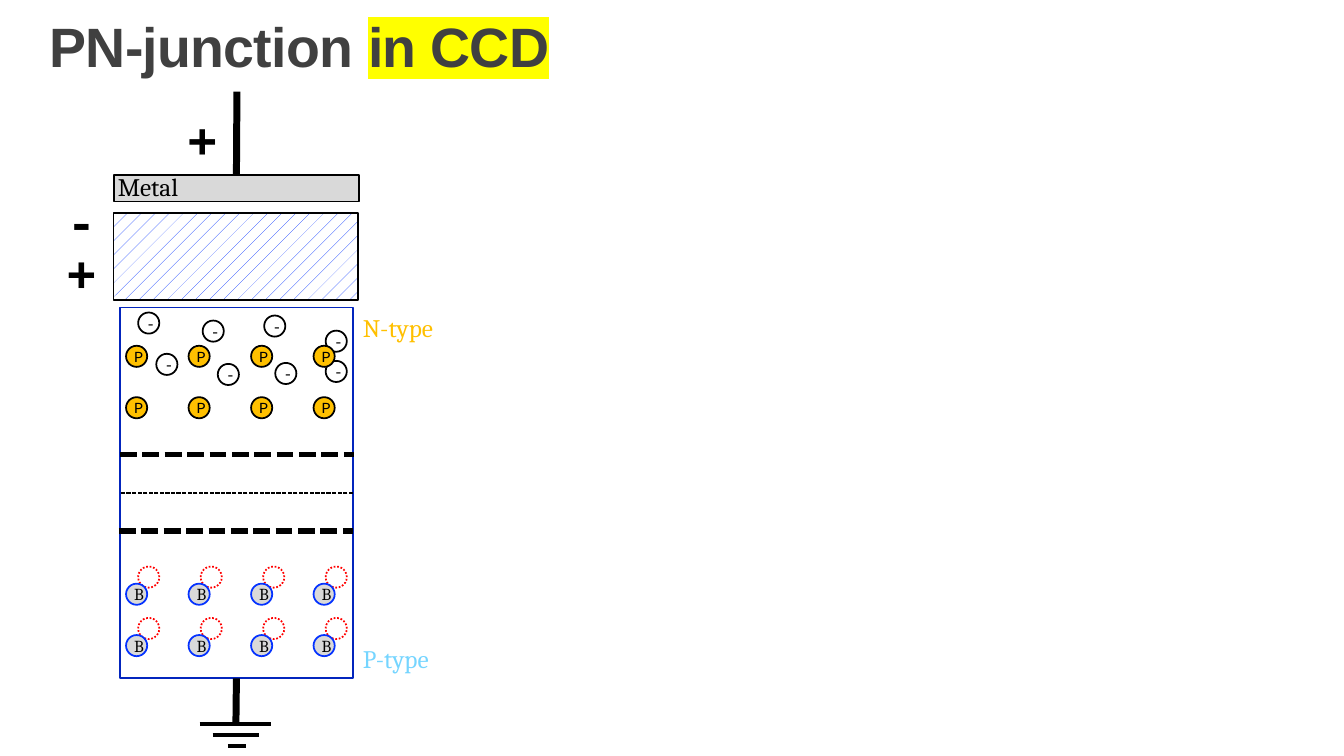
"""Build a slide showing the layers and charges of a PN-junction in a CCD."""
from dataclasses import dataclass
from itertools import product
from typing import Optional

from lxml import etree
from pptx import Presentation
from pptx import util as u
from pptx.dml.color import RGBColor
from pptx.enum import dml, shapes, text
from pptx.oxml.ns import qn

BLACK, WHITE, GREY = "000000", "FFFFFF", "D9D9D9"
AMBER, BLUE = "FFC000", "0432FF"
SERIF, MONO = "Cambria", "Courier New"
DIAMETER = 0.21
COLUMN_PITCH, ROW_PITCH = 0.62, 0.51
OVAL, RECTANGLE = shapes.MSO_SHAPE.OVAL, shapes.MSO_SHAPE.RECTANGLE
DOTTED, DASHED = dml.MSO_LINE.ROUND_DOT, dml.MSO_LINE.SQUARE_DOT


@dataclass
class Particle:
    outline: str
    fill: Optional[str] = None
    symbol: str = ""
    font: str = MONO
    size: float = 11
    dash: Optional[dml.MSO_LINE] = None


@dataclass
class Label:
    wording: str
    left: float
    top: float
    width: float
    height: float
    size: float = 18
    font: str = SERIF
    color: str = BLACK
    bold: bool = False
    align: text.PP_ALIGN = text.PP_ALIGN.LEFT
    rotation: float = 0


@dataclass
class Wire:
    start: tuple[float, float]
    end: tuple[float, float]
    weight: float
    dash: Optional[dml.MSO_LINE] = None


HOLE = Particle("FF0000", dash=DOTTED)
BORON = Particle(BLUE, GREY, "B", SERIF, 12)
ELECTRON = Particle(BLACK, symbol="-")
PHOSPHORUS = Particle(BLACK, AMBER, "P")
ELECTRON_SPOTS = [(1.37, 3.1), (1.55, 3.51), (2.01, 3.18), (2.16, 3.61),
                  (2.62, 3.13), (2.73, 3.6), (3.23, 3.28), (3.23, 3.58)]

SIGN = dict(width=0.76, height=0.71, size=36, font=MONO, bold=True)
LABELS = [
    Label("P-type", 3.5, 6.33, 1.03, 0.4, color="75D5FF"),
    Label("N-type", 3.5, 3.05, 1.26, 0.4, color=AMBER),
    Label("Metal", 1.07, 1.65, 0.83, 0.4),
    Label("+", 1.6, 0.93, rotation=270, **SIGN),
    Label("-", 0.43, 1.84, align=text.PP_ALIGN.CENTER, **SIGN),
    Label("+", 0.43, 2.35, align=text.PP_ALIGN.CENTER, **SIGN),
]
DEPLETION_EDGES = [
    Wire((1.19, 4.51), (3.51, 4.51), 4, DASHED),
    Wire((1.18, 5.27), (3.5, 5.27), 4, DASHED),
]
GROUND_BARS = [
    Wire((1.98, 7.18), (2.69, 7.18), 3),
    Wire((2.11, 7.29), (2.57, 7.29), 3),
    Wire((2.26, 7.4), (2.44, 7.4), 3),
]


def rgb(color: str) -> RGBColor:
    return RGBColor.from_string(color)


def write(paragraph, wording: str, *, size: float, font: str, color: str = BLACK,
          bold: bool = False, spacing: Optional[int] = None,
          highlight: Optional[str] = None) -> None:
    run = paragraph.add_run()
    run.text = wording
    run.font.size, run.font.name, run.font.bold = u.Pt(size), font, bold
    run.font.color.rgb = rgb(color)
    properties = run.font._element
    if spacing is not None:
        properties.set("spc", str(spacing))
    if highlight:
        marker = etree.Element(qn("a:highlight"))
        etree.SubElement(marker, qn("a:srgbClr"), val=highlight)
        properties.find(qn("a:solidFill")).addnext(marker)


def set_line(line, color: str, weight: float, dash: Optional[dml.MSO_LINE]) -> None:
    line.color.rgb = rgb(color)
    line.width = u.Pt(weight)
    if dash is not None:
        line.dash_style = dash


def add_outline(slide, kind, left: float, top: float, width: float, height: float,
                color: str, fill: Optional[str] = None,
                dash: Optional[dml.MSO_LINE] = None):
    shape = slide.shapes.add_shape(
        kind, u.Inches(left), u.Inches(top), u.Inches(width), u.Inches(height))
    shape.shadow.inherit = False
    if fill:
        shape.fill.solid()
        shape.fill.fore_color.rgb = rgb(fill)
    else:
        shape.fill.background()
    set_line(shape.line, color, 1.25, dash)
    return shape


def add_particle(slide, particle: Particle, left: float, top: float) -> None:
    shape = add_outline(slide, OVAL, left, top, DIAMETER, DIAMETER,
                        particle.outline, particle.fill, particle.dash)
    if particle.symbol:
        frame = shape.text_frame
        frame.vertical_anchor = text.MSO_ANCHOR.MIDDLE
        paragraph = frame.paragraphs[0]
        paragraph.alignment = text.PP_ALIGN.CENTER
        write(paragraph, particle.symbol, size=particle.size, font=particle.font)


def add_lattice(slide, particle: Particle, left: float, top: float) -> None:
    for row, column in product(range(2), range(4)):
        add_particle(slide, particle, left + column * COLUMN_PITCH, top + row * ROW_PITCH)


def add_label(slide, label: Label) -> None:
    box = slide.shapes.add_textbox(u.Inches(label.left), u.Inches(label.top),
                                   u.Inches(label.width), u.Inches(label.height))
    box.rotation = label.rotation
    frame = box.text_frame
    frame.word_wrap = True
    frame.auto_size = text.MSO_AUTO_SIZE.SHAPE_TO_FIT_TEXT
    paragraph = frame.paragraphs[0]
    paragraph.alignment = label.align
    write(paragraph, label.wording, size=label.size, font=label.font,
          color=label.color, bold=label.bold)


def add_wire(slide, wire: Wire):
    connector = slide.shapes.add_connector(
        shapes.MSO_CONNECTOR.STRAIGHT, *map(u.Inches, wire.start + wire.end))
    set_line(connector.line, BLACK, wire.weight, wire.dash)
    etree.SubElement(connector._element.spPr, qn("a:effectLst"))
    return connector


def add_title(slide) -> None:
    title = slide.shapes.title
    title.left, title.top = u.Inches(0.39), u.Inches(0.12)
    title.width, title.height = u.Inches(12.57), u.Inches(0.71)
    frame = title.text_frame
    frame.auto_size = text.MSO_AUTO_SIZE.NONE
    frame.vertical_anchor = text.MSO_ANCHOR.BOTTOM
    paragraph = frame.paragraphs[0]
    paragraph.alignment = text.PP_ALIGN.LEFT
    paragraph.line_spacing = 0.85
    style = dict(size=39.6, font="Arial", color="404040", bold=True, spacing=-50)
    write(paragraph, "PN-junction ", **style)
    write(paragraph, "in CCD", highlight="FFFF00", **style)


def main() -> None:
    presentation = Presentation()
    presentation.slide_width, presentation.slide_height = u.Inches(13.33), u.Inches(7.5)
    slide = presentation.slides.add_slide(presentation.slide_layouts[5])
    add_title(slide)

    silicon = add_outline(slide, RECTANGLE, 1.19, 3.05, 2.31, 3.68, "0325BD")
    junction = add_wire(slide, Wire((3.5, 4.89), (1.19, 4.89), 1, DASHED))
    junction.begin_connect(silicon, 3)
    junction.end_connect(silicon, 1)
    for edge in DEPLETION_EDGES:
        add_wire(slide, edge)
    add_lattice(slide, HOLE, 1.37, 5.62)
    add_lattice(slide, BORON, 1.25, 5.79)
    for left, top in ELECTRON_SPOTS:
        add_particle(slide, ELECTRON, left, top)
    add_lattice(slide, PHOSPHORUS, 1.25, 3.43)

    metal = add_outline(slide, RECTANGLE, 1.13, 1.74, 2.43, 0.26, BLACK, GREY)
    gate = add_wire(slide, Wire((2.35, 1.74), (2.35, 0.91), 5))
    gate.begin_connect(metal, 0)
    oxide = add_outline(slide, RECTANGLE, 1.91, 1.33, 0.86, 2.43, BLACK)
    oxide.rotation = 270
    oxide.fill.patterned()
    oxide.fill.pattern = dml.MSO_PATTERN.PERCENT_5
    oxide.fill.fore_color.rgb, oxide.fill.back_color.rgb = rgb(BLUE), rgb(WHITE)
    for label in LABELS:
        add_label(slide, label)

    ground = add_wire(slide, Wire((2.34, 7.18), (2.34, 6.73), 5))
    ground.end_connect(silicon, 2)
    for bar in GROUND_BARS:
        add_wire(slide, bar)
    presentation.save("out.pptx")


if __name__ == "__main__":
    main()
